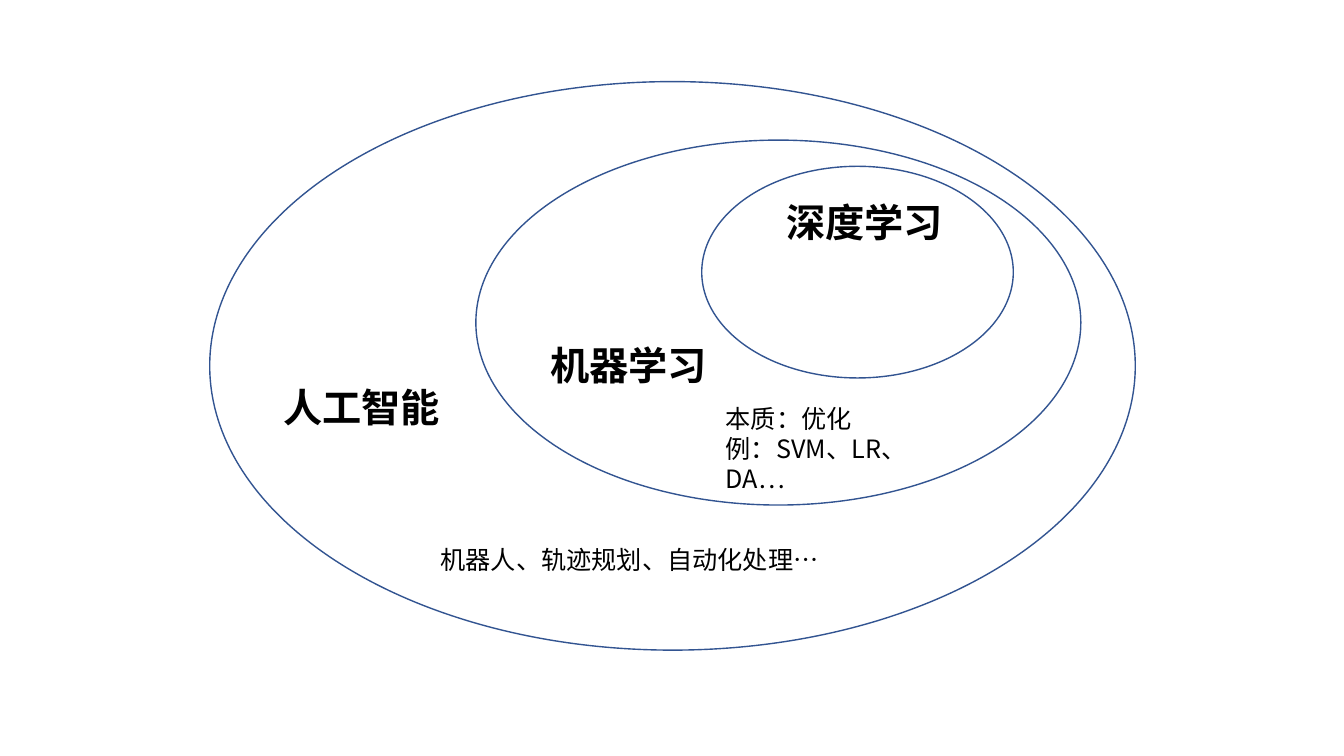
"""Nested ellipses showing how AI, machine learning and deep learning relate."""
from dataclasses import dataclass

from lxml import etree
from pptx import Presentation
from pptx.dml.color import RGBColor
from pptx.enum.shapes import MSO_SHAPE
from pptx.enum.text import MSO_AUTO_SIZE
from pptx.oxml.ns import qn
from pptx.util import Pt

ELLIPSE = MSO_SHAPE.OVAL
GROW = MSO_AUTO_SIZE.SHAPE_TO_FIT_TEXT
EMU_PER_PX = 9144
BLANK_LAYOUT = 6


@dataclass(frozen=True)
class Theme:
    """Colours, font and sizes of the slide."""
    font: str = "Noto Sans CJK SC"
    paper: RGBColor = RGBColor(0xFF, 0xFF, 0xFF)
    outline: RGBColor = RGBColor(0x32, 0x54, 0x91)
    ink: RGBColor = RGBColor(0, 0, 0)
    outline_width: int = 1
    title_size: int = 28
    note_size: int = 18


THEME = Theme()


def px(*lengths):
    """Turn pixel lengths into EMU."""
    return [length * EMU_PER_PX for length in lengths]


def add_field(page, left, top, width, height):
    """Draw one outlined ellipse."""
    field = page.shapes.add_shape(ELLIPSE, *px(left, top, width, height))
    field.shadow.inherit = False
    field.fill.solid()
    field.fill.fore_color.rgb = THEME.paper
    field.line.color.rgb = THEME.outline
    field.line.width = Pt(THEME.outline_width)


def add_span(para, text, size, bold):
    """Add one styled run for Latin and East Asian letters."""
    span = para.add_run()
    span.text = text
    span.font.size = Pt(size)
    span.font.bold = bold
    span.font.color.rgb = THEME.ink
    span.font.name = THEME.font
    properties = span.font._element
    etree.SubElement(properties, qn("a:ea"), typeface=THEME.font)


def add_text(page, lines, left, top, width, height, size, bold=False):
    """Add a text box with one paragraph per line."""
    box = page.shapes.add_textbox(*px(left, top, width, height))
    frame = box.text_frame
    frame.word_wrap = True
    frame.auto_size = GROW
    for index, line in enumerate(lines):
        para = frame.add_paragraph() if index else frame.paragraphs[0]
        add_span(para, line, size, bold)


def add_title(page, text, left, top):
    """Name one field in bold."""
    add_text(page, [text], left, top, 184, 57, THEME.title_size, bold=True)


def add_note(page, lines, left, top, width, height):
    """Add explanatory lines at note size."""
    add_text(page, lines, left, top, width, height, THEME.note_size)


def main():
    """Build and save the slide."""
    deck = Presentation()
    deck.slide_width, deck.slide_height = px(1333, 750)
    page = deck.slides.add_slide(deck.slide_layouts[BLANK_LAYOUT])

    add_field(page, 208, 81, 918, 564)
    add_field(page, 472, 139, 600, 362)
    add_field(page, 696, 165, 309, 210)

    add_title(page, "深度学习", 770, 192)
    add_title(page, "机器学习", 536, 334)
    add_title(page, "人工智能", 271, 375)

    add_note(page, ["机器人、轨迹规划、自动化处理…"], 427, 535, 527, 40)
    add_note(page, ["本质：优化", "例：SVM、LR、DA…"], 710, 395, 235, 71)

    deck.save("out.pptx")


if __name__ == "__main__":
    main()
